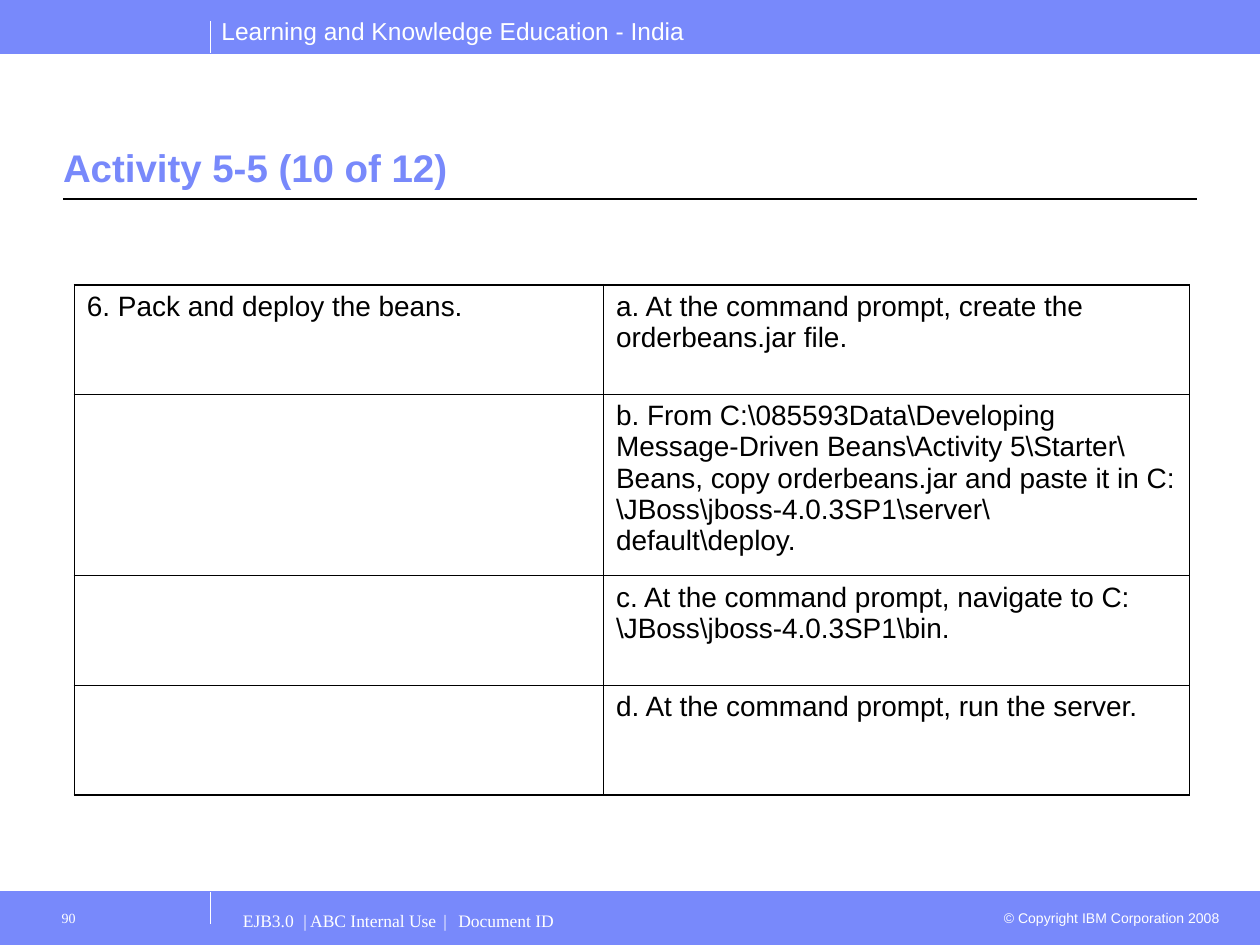
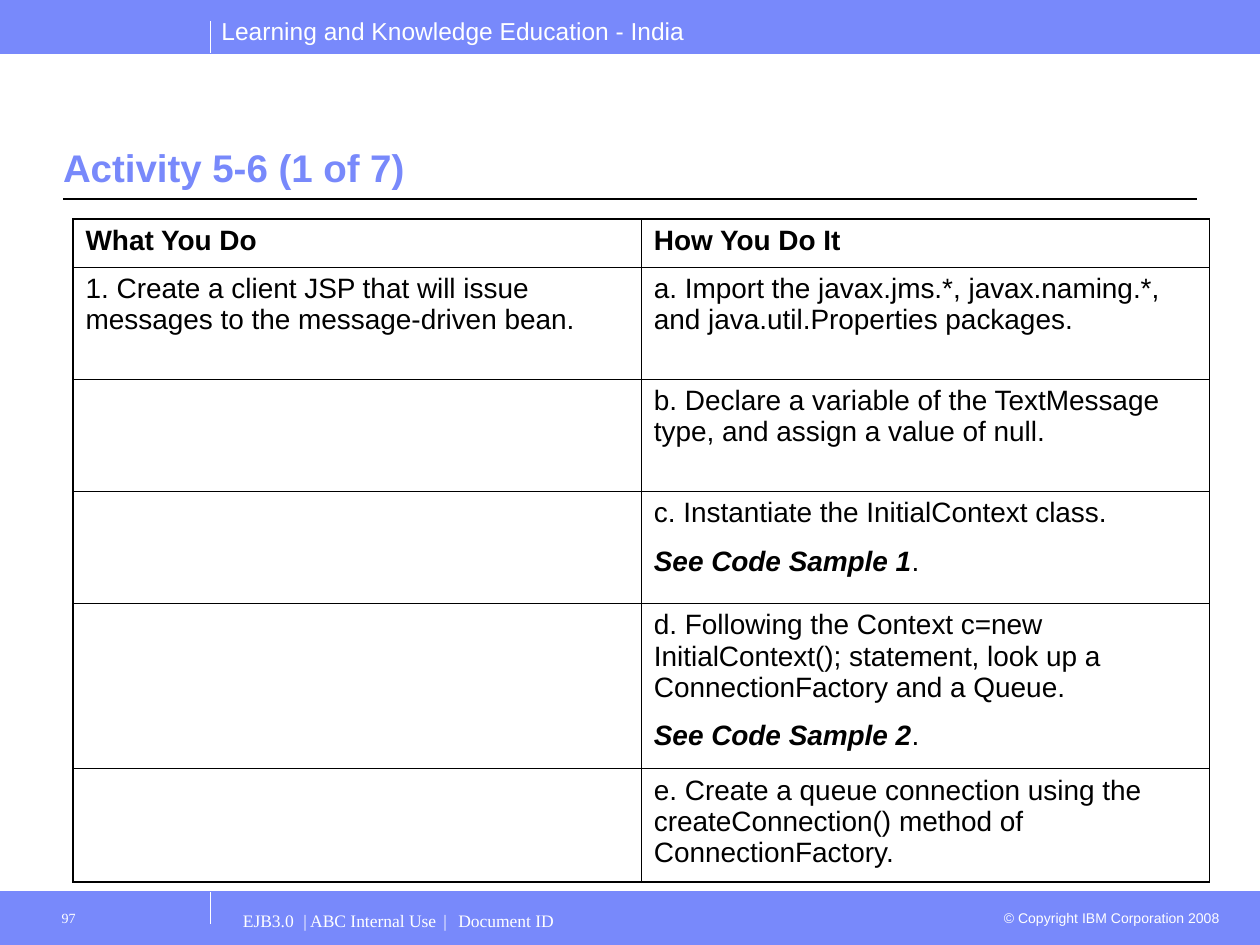
from lxml import etree
from pptx import Presentation
from pptx.dml.color import RGBColor
from pptx.enum.shapes import MSO_CONNECTOR, MSO_SHAPE
from pptx.enum.text import MSO_ANCHOR, MSO_AUTO_SIZE, PP_ALIGN
from pptx.oxml.ns import qn
from pptx.util import Inches, Pt

STRAIGHT = MSO_CONNECTOR.STRAIGHT
RECTANGLE = MSO_SHAPE.RECTANGLE
LEFT, RIGHT = PP_ALIGN.LEFT, PP_ALIGN.RIGHT
TOP, BOTTOM = MSO_ANCHOR.TOP, MSO_ANCHOR.BOTTOM

COLORS = {"band": "7889FB", "on_band": "FFFFFF", "ink": "000000"}
SANS, SERIF = "Arial", "Times New Roman"
SLIDE_W, SLIDE_H = 10, 7.5
BAND_H = 0.42
TICK_X, TICK_H = 1.67, 0.25
OUTER, INNER = 1.08, 0.45

HEADER = "Learning and Knowledge Education - India"
COPYRIGHT = "© Copyright IBM Corporation 2008"
FOOTER_PARTS = ["EJB3.0", "| ABC Internal Use", "|", "Document ID"]
FOOTER_TABS = [0.48, 1.59, 1.71]

BOLD = {"bold": True}
STRONG = {"bold": True, "italic": True}

# A cell is a list of paragraphs; a paragraph is a list of (text, style) runs or a string.
ACTIVITIES = [
    {
        "title": "Activity 5-5 (10 of 12)",
        "number": "90",
        "at": (0.59, 2.26),
        "columns": [4.2, 4.65],
        "heights": [0.87, 1.44, 0.87, 0.87],
        "steps": [
            (["6. Pack and deploy the beans."],
             ["a. At the command prompt, create the orderbeans.jar file."]),
            ([], [r"b. From C:\085593Data\Developing Message-Driven Beans\Activity 5\Starter\ "
                  r"Beans, copy orderbeans.jar and paste it in "
                  r"C:\JBoss\jboss-4.0.3SP1\server\ default\deploy."]),
            ([], [r"c. At the command prompt, navigate to C:\JBoss\jboss-4.0.3SP1\bin."]),
            ([], ["d. At the command prompt, run the server."]),
        ],
    },
    {
        "title": "Activity 5-6 (1 of 7)",
        "number": "97",
        "at": (0.58, 1.74),
        "columns": [4.51, 4.51],
        "heights": [0.38, 0.89, 0.89, 0.89, 1.31, 0.9],
        "steps": [
            ([[("What You Do", BOLD)]], [[("How You Do It", BOLD)]]),
            (["1. Create a client JSP that will issue messages to the message-driven bean."],
             ["a. Import the javax.jms.*, javax.naming.*, and java.util.Properties packages."]),
            ([], ["b. Declare a variable of the TextMessage type, and assign a value of null."]),
            ([], ["c. Instantiate the InitialContext class.",
                  [("See Code Sample 1", STRONG), (".", {})]]),
            ([], ["d. Following the Context c=new InitialContext(); statement, "
                  "look up a ConnectionFactory and a Queue.",
                  [("See Code Sample 2", STRONG), (".", {})]]),
            ([], ["e. Create a queue connection using the createConnection() method "
                  "of ConnectionFactory."]),
        ],
    },
]


def rgb(name):
    return RGBColor.from_string(COLORS[name])


def write(frame, paragraphs, size, color="ink", font=SANS, bold=False,
          align=LEFT, after=0, tabs=()):
    for index, content in enumerate(paragraphs):
        paragraph = frame.add_paragraph() if index else frame.paragraphs[0]
        paragraph.alignment = align
        paragraph.space_after = Pt(after)
        if tabs:
            tab_list = etree.SubElement(paragraph._p.get_or_add_pPr(), qn("a:tabLst"))
            for stop in tabs:
                etree.SubElement(tab_list, qn("a:tab"), pos=str(Inches(stop)), algn="l")
        runs = [(content, {})] if isinstance(content, str) else content
        for text, style in runs:
            run = paragraph.add_run()
            run.text = text
            run.font.name = font
            run.font.size = Pt(size)
            run.font.color.rgb = rgb(color)
            run.font.bold = style.get("bold", bold)
            run.font.italic = style.get("italic", False)


def set_frame(frame, insets, anchor=TOP, wrap=True):
    frame.auto_size = MSO_AUTO_SIZE.NONE
    frame.word_wrap = wrap
    frame.vertical_anchor = anchor
    (frame.margin_left, frame.margin_top,
     frame.margin_right, frame.margin_bottom) = map(Inches, insets)


def add_label(slide, text, box, insets=(0.1, 0.05, 0.1, 0.05), wrap=True, **style):
    frame = slide.shapes.add_textbox(*map(Inches, box)).text_frame
    set_frame(frame, insets, wrap=wrap)
    write(frame, [text], color="on_band", **style)


def add_rule(slide, start, end, color, width=0.75):
    rule = slide.shapes.add_connector(STRAIGHT, *map(Inches, start + end))
    rule.line.color.rgb = rgb(color)
    rule.line.width = Pt(width)
    etree.SubElement(rule._element.spPr, qn("a:effectLst"))


def add_frame(slide, number):
    """Draw the bands, rules, header and footer that every slide has."""
    footer_top = SLIDE_H - BAND_H
    for top in (footer_top, 0):
        band = slide.shapes.add_shape(
            RECTANGLE, *map(Inches, (0, top, SLIDE_W, BAND_H)))
        band.shadow.inherit = False
        band.fill.solid()
        band.fill.fore_color.rgb = rgb("band")
        band.line.color.rgb = rgb("band")
        band.line.width = Pt(0.75)
    for edge in (BAND_H, footer_top):
        add_rule(slide, (0, edge), (SLIDE_W, edge), "band", 0.5)
    for bottom in (BAND_H, footer_top + TICK_H):
        add_rule(slide, (TICK_X, bottom), (TICK_X, bottom - TICK_H), "on_band")
    add_rule(slide, (0.5, 1.58), (9.5, 1.58), "ink")

    add_label(slide, HEADER, (1.66, 0.08, 3.87, 0.34), wrap=False, size=14)
    add_label(slide, COPYRIGHT, (7.83, 7.17, 1.95, 0.24), size=8, align=RIGHT)
    add_label(slide, "\t".join(FOOTER_PARTS), (1.83, 7.15, 6, 0.35),
              insets=(0.1, 0.07, 0.1, 0.05), size=10, font=SERIF, tabs=FOOTER_TABS)
    add_label(slide, number, (0.33, 7.15, 1.33, 0.35),
              insets=(0.16, 0.07, 0.1, 0.05), size=8, font=SERIF)


def set_title(slide, text):
    title = slide.shapes.title
    title.left, title.top, title.width, title.height = map(Inches, (0.5, 0.64, 9, 0.92))
    set_frame(title.text_frame, (0, 0.05, 0, 0.05), anchor=BOTTOM)
    write(title.text_frame, [text], size=22, color="band", bold=True)


def set_borders(cell, outer_sides):
    properties = cell._tc.get_or_add_tcPr()
    for side in "LRTB":
        width = OUTER if side in outer_sides else INNER
        border = etree.SubElement(properties, qn(f"a:ln{side}"), w=str(Pt(width)))
        fill = etree.SubElement(border, qn("a:solidFill"))
        etree.SubElement(fill, qn("a:srgbClr"), val=COLORS["ink"])


def add_steps(slide, activity):
    columns, heights = activity["columns"], activity["heights"]
    box = (*activity["at"], sum(columns), sum(heights))
    table = slide.shapes.add_table(len(heights), len(columns), *map(Inches, box)).table
    table.first_row = table.horz_banding = False
    for column, width in zip(table.columns, columns):
        column.width = Inches(width)
    for row, height in zip(table.rows, heights):
        row.height = Inches(height)
    last_row, last_column = len(heights) - 1, len(columns) - 1
    for r, step in enumerate(activity["steps"]):
        for c, paragraphs in enumerate(step):
            cell = table.cell(r, c)
            edges = {"L": c == 0, "R": c == last_column, "T": r == 0, "B": r == last_row}
            set_borders(cell, [side for side, is_outer in edges.items() if is_outer])
            cell.fill.background()
            write(cell.text_frame, paragraphs, size=16, after=10)


def main():
    deck = Presentation()
    deck.slide_width, deck.slide_height = Inches(SLIDE_W), Inches(SLIDE_H)
    title_only = deck.slide_layouts[5]
    for activity in ACTIVITIES:
        slide = deck.slides.add_slide(title_only)
        add_frame(slide, activity["number"])
        set_title(slide, activity["title"])
        add_steps(slide, activity)
    deck.save("out.pptx")


if __name__ == "__main__":
    main()
